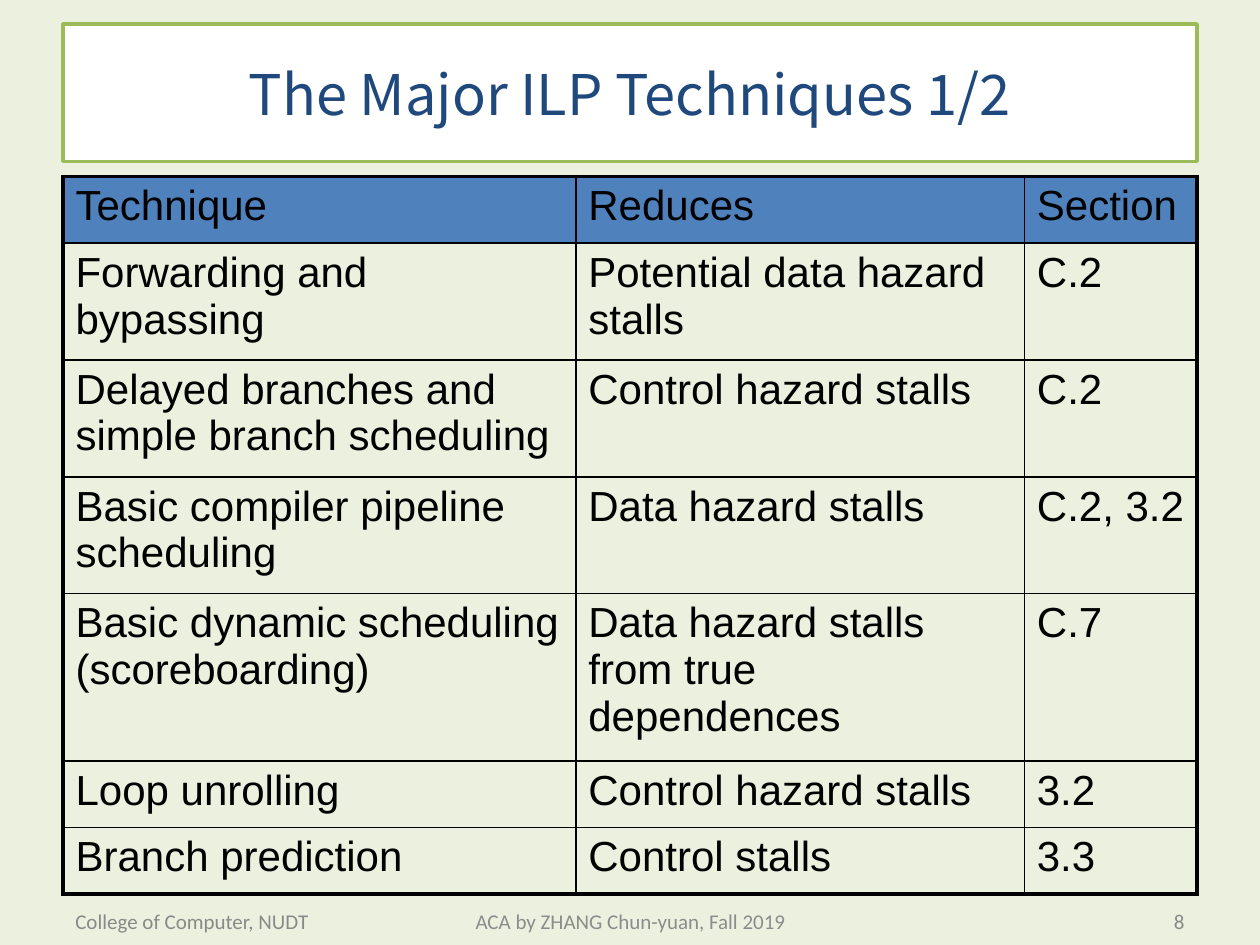
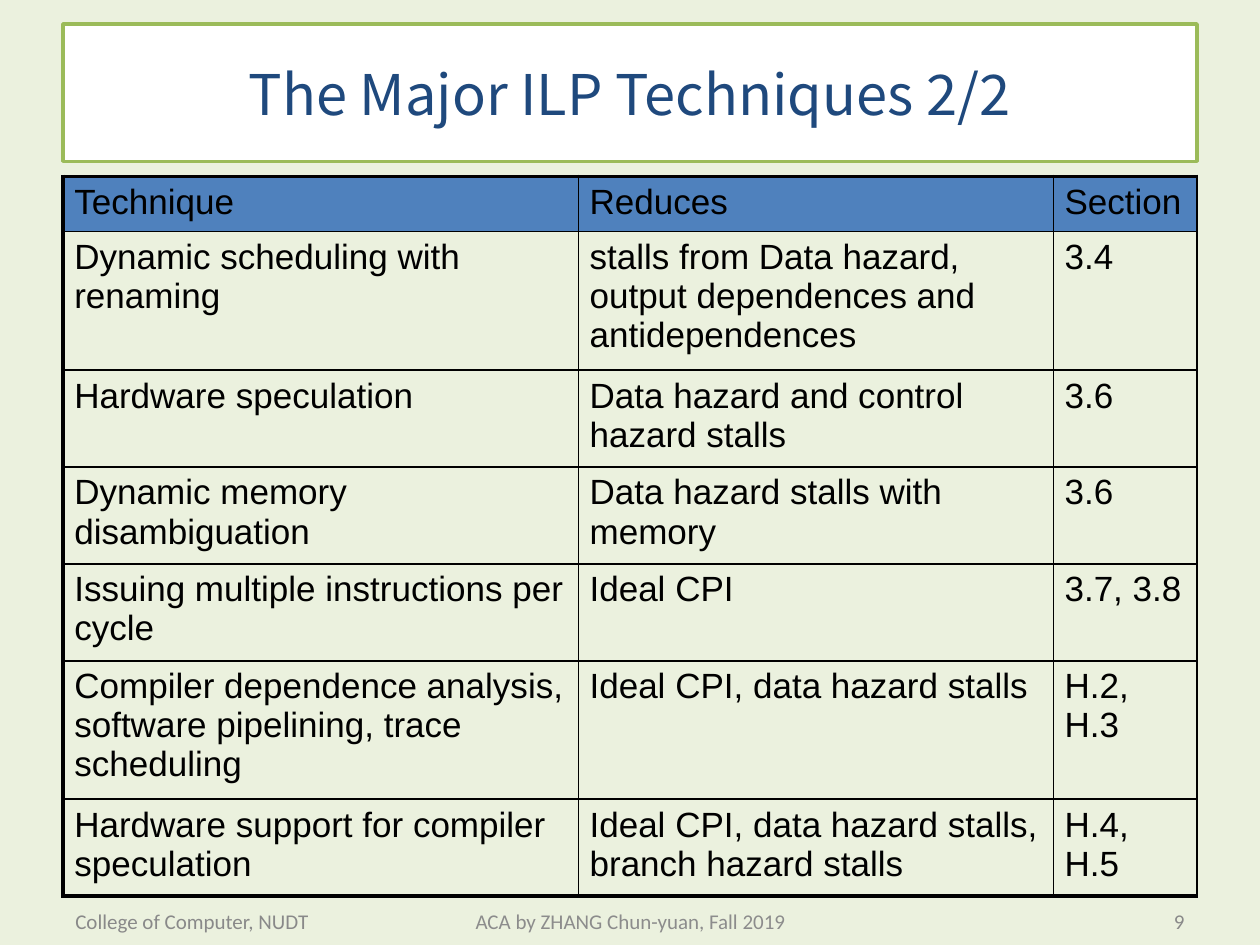
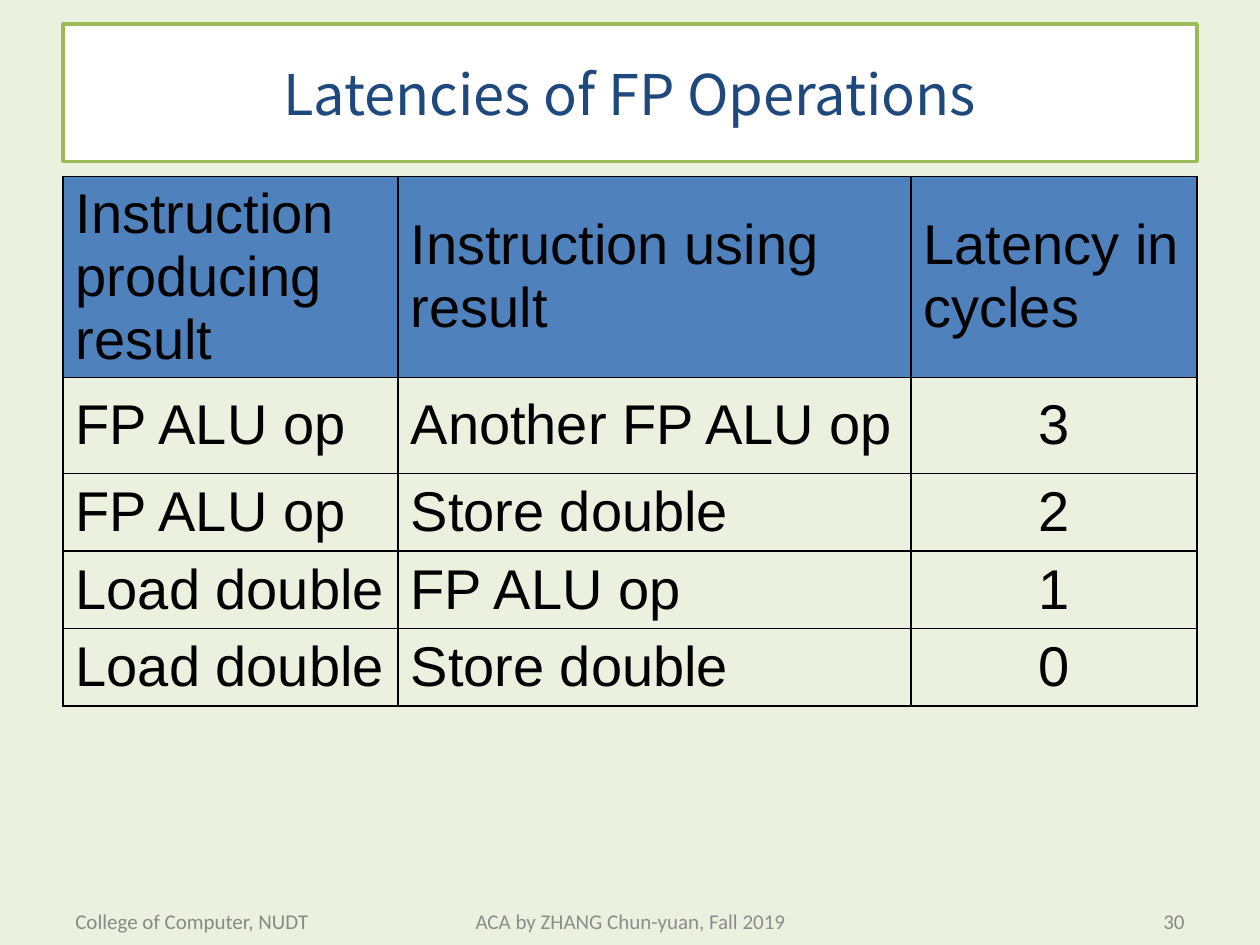
from dataclasses import dataclass

from lxml.etree import SubElement
from pptx import Presentation
from pptx.dml.color import RGBColor
from pptx.enum.text import MSO_ANCHOR, PP_ALIGN
from pptx.oxml import parse_xml
from pptx.oxml.ns import nsdecls, qn
from pptx.util import Inches, Pt


@dataclass(frozen=True)
class Theme:
    background: str = "EBF1DE"
    title: str = "1F497D"
    header: str = "4F81BD"
    ink: str = "000000"
    footer: str = "898989"
    footer_middle: str = "8C8C8C"
    title_font: str = "Noto Sans CJK SC"
    table_font: str = "Arial"
    footer_font: str = "Calibri"
    title_size: int = 32
    footer_size: int = 12
    thin: float = 1
    thick: float = 2.25
    title_style: str = (
        f"<p:style {nsdecls('p', 'a')}>"
        '<a:lnRef idx="2"><a:schemeClr val="accent3"/></a:lnRef>'
        '<a:fillRef idx="1"><a:schemeClr val="lt1"/></a:fillRef>'
        '<a:effectRef idx="0"><a:schemeClr val="accent3"/></a:effectRef>'
        '<a:fontRef idx="minor"><a:schemeClr val="dk1"/></a:fontRef>'
        "</p:style>"
    )


theme = Theme()


def style(paragraph, font_name, size, color, align=PP_ALIGN.LEFT):
    paragraph.alignment = align
    for run in paragraph.runs:
        run.font.name = font_name
        run.font.size = Pt(size)
        run.font.bold = False
        run.font.color.rgb = RGBColor.from_string(color)


def draw_borders(cell, widths):
    properties = cell._tc.get_or_add_tcPr()
    for side, width in zip(("lnL", "lnR", "lnT", "lnB"), widths):
        line = SubElement(properties, qn(f"a:{side}"), w=str(Pt(width)))
        fill = SubElement(line, qn("a:solidFill"))
        SubElement(fill, qn("a:srgbClr"), val=theme.ink)


lessons = [
    {
        "title": "The Major ILP Techniques 1/2",
        "number": "8",
        "size": 24,
        "columns": (4.07, 3.56, 1.37),
        "lines": (1, 2, 2, 2, 3, 1, 1),
        "line_height": 0.4,
        "padding": 0.32,
        "insets": (0.1, 0.05),
        "space_before": 0.15,
        "anchor": MSO_ANCHOR.TOP,
        "last_column": PP_ALIGN.LEFT,
        "frame": (theme.thick, theme.thick, theme.thick, theme.thick),
        "rows": [
            ("Technique", "Reduces", "Section"),
            ("Forwarding and bypassing", "Potential data hazard stalls", "C.2"),
            ("Delayed branches and simple branch scheduling", "Control hazard stalls", "C.2"),
            ("Basic compiler pipeline scheduling", "Data hazard stalls", "C.2, 3.2"),
            ("Basic dynamic scheduling (scoreboarding)",
             "Data hazard stalls from true dependences", "C.7"),
            ("Loop unrolling", "Control hazard stalls", "3.2"),
            ("Branch prediction", "Control stalls", "3.3"),
        ],
    },
    {
        "title": "The Major ILP Techniques 2/2",
        "number": "9",
        "size": 20,
        "columns": (4.09, 3.77, 1.14),
        "lines": (1, 3, 2, 2, 2, 3, 2),
        "line_height": 0.33,
        "padding": 0.33,
        "insets": (0.09, 0.05),
        "space_before": 0.12,
        "anchor": MSO_ANCHOR.TOP,
        "last_column": PP_ALIGN.LEFT,
        "frame": (theme.thick, theme.thin, theme.thick, theme.thick),
        "rows": [
            ("Technique", "Reduces", "Section"),
            ("Dynamic scheduling with renaming",
             "stalls from Data hazard, output dependences and antidependences", "3.4"),
            ("Hardware speculation", "Data hazard and control hazard stalls", "3.6"),
            ("Dynamic memory disambiguation", "Data hazard stalls with memory", "3.6"),
            ("Issuing multiple instructions per cycle", "Ideal CPI", "3.7, 3.8"),
            ("Compiler dependence analysis, software pipelining, trace scheduling",
             "Ideal CPI, data hazard stalls", "H.2, H.3"),
            ("Hardware support for compiler speculation",
             "Ideal CPI, data hazard stalls, branch hazard stalls", "H.4, H.5"),
        ],
    },
    {
        "title": "Latencies of FP Operations",
        "number": "30",
        "size": 32,
        "columns": (2.66, 4.07, 2.27),
        "lines": (2.33, 1.28, 1, 1, 1),
        "line_height": 0.53,
        "padding": 0.16,
        "insets": (0.1, 0.05),
        "space_before": 0,
        "anchor": MSO_ANCHOR.MIDDLE,
        "last_column": PP_ALIGN.CENTER,
        "frame": (theme.thin, theme.thin, theme.thin, theme.thin),
        "rows": [
            ("Instruction producing result", "Instruction using result", "Latency in cycles"),
            ("FP ALU op", "Another FP ALU op", "3"),
            ("FP ALU op", "Store double", "2"),
            ("Load double", "FP ALU op", "1"),
            ("Load double", "Store double", "0"),
        ],
    },
]

deck = Presentation()
deck.slide_width, deck.slide_height = Inches(10), Inches(7.5)
column, row = deck.slide_width / 100, deck.slide_height / 75
margin, content_width = int(5 * column), int(90 * column)

background = deck.slide_master.background.fill
background.solid()
background.fore_color.rgb = RGBColor.from_string(theme.background)

for lesson in lessons:
    slide = deck.slides.add_slide(deck.slide_layouts[5])

    title = slide.shapes.title
    title.left, title.top = margin, int(1.9 * row)
    title.width, title.height = content_width, int(10.9 * row)
    title.text_frame.text = lesson["title"]
    title.text_frame.vertical_anchor = MSO_ANCHOR.MIDDLE
    style(title.text_frame.paragraphs[0], theme.title_font, theme.title_size,
          theme.title, PP_ALIGN.CENTER)
    title.element.spPr.addnext(parse_xml(theme.title_style))

    size = lesson["size"]
    line_height = Inches(lesson["line_height"])
    heights = [int((lines + lesson["padding"]) * line_height) for lines in lesson["lines"]]
    last_row, last_column = len(heights) - 1, len(lesson["columns"]) - 1
    techniques = slide.shapes.add_table(
        last_row + 1, last_column + 1, margin, int(14 * row), content_width, sum(heights)
    ).table
    techniques.horz_banding = False
    for table_column, share in zip(techniques.columns, lesson["columns"]):
        table_column.width = int(content_width * share / sum(lesson["columns"]))
    for table_row, height in zip(techniques.rows, heights):
        table_row.height = height

    left, right, top, bottom = lesson["frame"]
    side_inset, end_inset = (Inches(inset) for inset in lesson["insets"])
    for r, entries in enumerate(lesson["rows"]):
        for c, entry in enumerate(entries):
            cell = techniques.cell(r, c)
            cell.text_frame.text = entry
            cell.vertical_anchor = lesson["anchor"]
            cell.margin_left = cell.margin_right = side_inset
            cell.margin_top = cell.margin_bottom = end_inset
            paragraph = cell.text_frame.paragraphs[0]
            paragraph.space_before = Pt(size * lesson["space_before"])
            centred = r > 0 and c == last_column
            style(paragraph, theme.table_font, size, theme.ink,
                  lesson["last_column"] if centred else PP_ALIGN.LEFT)
            draw_borders(cell, (
                left if c == 0 else theme.thin,
                right if c == last_column else theme.thin,
                top if r == 0 else theme.thin,
                bottom if r == last_row else theme.thin,
            ))
            if r == 0:
                cell.fill.solid()
                cell.fill.fore_color.rgb = RGBColor.from_string(theme.header)
            else:
                cell.fill.background()

    for words, start, width, color, align in (
        ("College of Computer, NUDT", 5, 23.3, theme.footer, PP_ALIGN.LEFT),
        ("ACA by ZHANG Chun-yuan, Fall 2019", 34.2, 31.7, theme.footer_middle, PP_ALIGN.CENTER),
        (lesson["number"], 71.7, 23.3, theme.footer, PP_ALIGN.RIGHT),
    ):
        footer = slide.shapes.add_textbox(
            int(start * column), int(71.1 * row), int(width * column), int(4 * row)
        ).text_frame
        footer.text = words
        footer.word_wrap = True
        footer.vertical_anchor = MSO_ANCHOR.MIDDLE
        style(footer.paragraphs[0], theme.footer_font, theme.footer_size, color, align)

deck.save("out.pptx")
